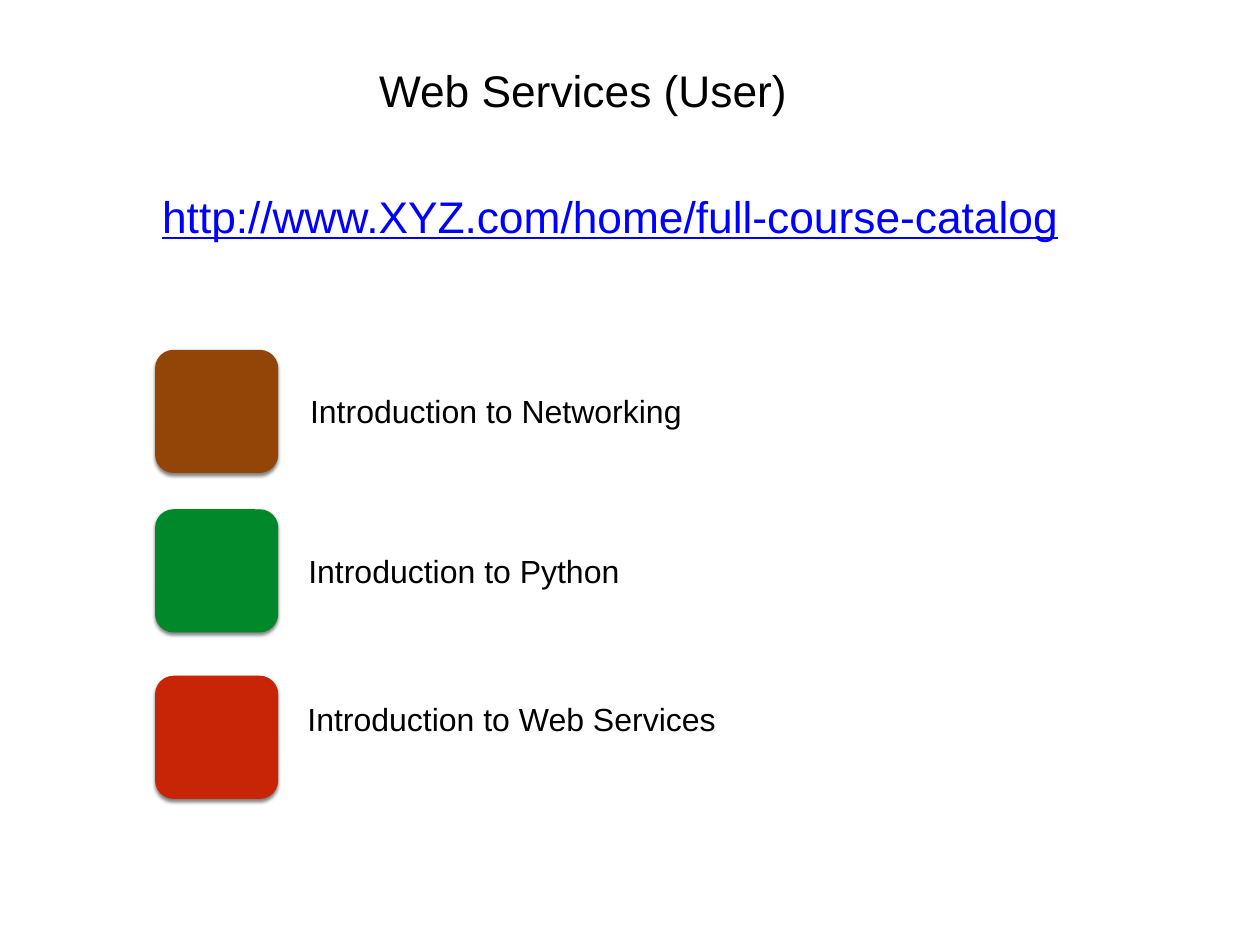
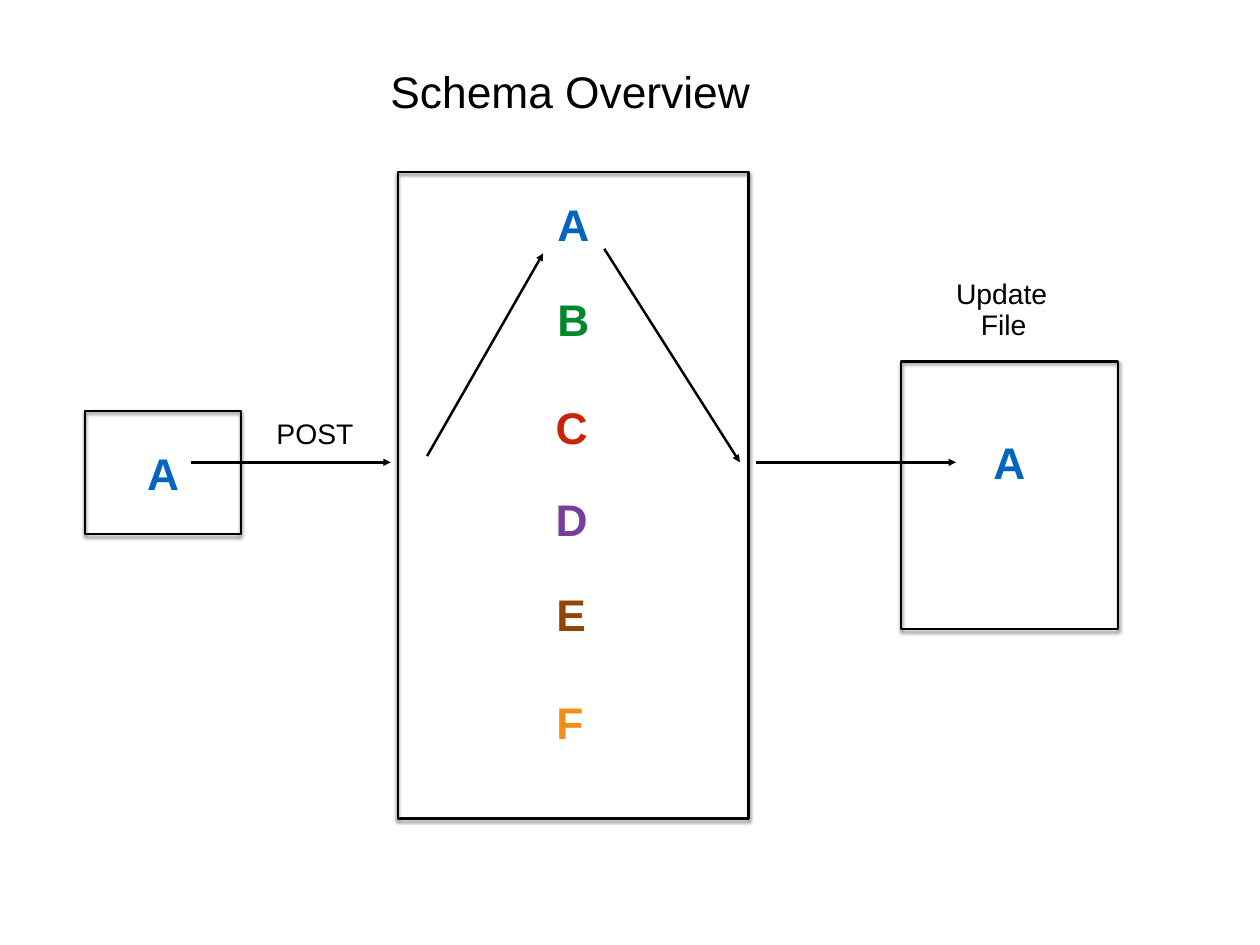
from pptx import Presentation
from pptx.dml.color import RGBColor
from pptx.enum.shapes import MSO_CONNECTOR, MSO_SHAPE
from pptx.enum.text import MSO_ANCHOR, PP_ALIGN
from pptx.oxml.ns import qn
from pptx.util import Pt
from lxml import etree

PX = 9144  # 100 px to the inch
FONT = "Arial"
BLACK = RGBColor(0x00, 0x00, 0x00)
LINK = RGBColor(0x00, 0x00, 0xFF)
BLUE = RGBColor(0x03, 0x65, 0xC0)
GREEN = RGBColor(0x00, 0x88, 0x2B)
RED = RGBColor(0xC8, 0x25, 0x06)
PURPLE = RGBColor(0x77, 0x3F, 0x9B)
BROWN = RGBColor(0x92, 0x45, 0x07)
ORANGE = RGBColor(0xF3, 0x8F, 0x18)

LEFT, CENTER = PP_ALIGN.LEFT, PP_ALIGN.CENTER
MIDDLE = MSO_ANCHOR.MIDDLE
RECT, ROUND = MSO_SHAPE.RECTANGLE, MSO_SHAPE.ROUNDED_RECTANGLE
STRAIGHT = MSO_CONNECTOR.STRAIGHT

BIG, LABEL, SMALL = 36, 26, 23
INSET = 6
LINE = 2


def emu(*sizes):
    return [size * PX for size in sizes]


# Shared parts

def add_text(slide, box, words, size, color=BLACK, align=LEFT):
    shape = slide.shapes.add_textbox(*emu(*box))
    frame = shape.text_frame
    frame.word_wrap = True
    frame.vertical_anchor = MIDDLE
    frame.margin_left = frame.margin_right = INSET * PX
    frame.margin_top = frame.margin_bottom = INSET * PX
    frame.text = words
    frame.paragraphs[0].alignment = align
    font = frame.paragraphs[0].runs[0].font
    font.name, font.size = FONT, Pt(size)
    font.color.rgb = color
    return font


def add_title(slide, box, words):
    add_text(slide, box, words, BIG, align=CENTER)


def add_letter(slide, x, y, letter, color):
    font = add_text(slide, (x, y, 49, 71), letter, BIG, color)
    font.bold = True


def add_shadow(shape):
    shape.shadow.inherit = False
    effects = shape._element.spPr.find(qn("a:effectLst"))
    outer = etree.SubElement(effects, qn("a:outerShdw"), blurRad=str(Pt(3)),
                             dist=str(Pt(2)), dir="5400000", rotWithShape="0")
    tint = etree.SubElement(outer, qn("a:srgbClr"), val=str(BLACK))
    etree.SubElement(tint, qn("a:alpha"), val="50000")


def add_frame(slide, box):
    shape = slide.shapes.add_shape(RECT, *emu(*box))
    shape.fill.background()
    shape.line.color.rgb = BLACK
    shape.line.width = Pt(LINE)
    add_shadow(shape)


def add_arrow(slide, x1, y1, x2, y2):
    arrow = slide.shapes.add_connector(STRAIGHT, *emu(x1, y1, x2, y2))
    arrow.line.color.rgb = BLACK
    arrow.line.width = Pt(LINE)
    ln = arrow.line._get_or_add_ln()
    etree.SubElement(ln, qn("a:tailEnd"), type="triangle")
    etree.SubElement(arrow._element.spPr, qn("a:effectLst"))


# Course list

def add_course(slide, box, color, words, dx, dy):
    x, y, side, _ = box
    tile = slide.shapes.add_shape(ROUND, *emu(*box))
    tile.adjustments[0] = 0.15
    tile.fill.solid()
    tile.fill.fore_color.rgb = color
    tile.line.fill.background()
    add_shadow(tile)
    add_text(slide, (x + side + dx, y + dy, 500, 54), words, LABEL)


def build_courses(slide):
    add_title(slide, (253, 65, 810, 72), "Web Services (User)")
    url = "http://www.XYZ.com/home/full-course-catalog"
    add_text(slide, (177, 208, 1050, 71), url, BIG, LINK).underline = True
    courses = [
        (395, BROWN, "Introduction to Networking", 30, 42),
        (575, GREEN, "Introduction to Python", 28, 42),
        (763, RED, "Introduction to Web Services", 27, 22),
    ]
    for y, *course in courses:
        add_course(slide, (175, y, 139, 139), *course)


# Schema diagram

def add_sender(slide, box):
    x, y, _, _ = box
    add_frame(slide, box)
    add_letter(slide, x + 64, y + 34, "A", BLUE)
    add_text(slide, (x + 210, y - 10, 108, 71), "POST", SMALL)
    add_arrow(slide, x + 119, y + 58, x + 345, y + 58)


def add_schema(slide, box):
    x, y, w, _ = box
    add_frame(slide, box)
    letters = [
        (174, 23, "A", BLUE), (174, 130, "B", GREEN), (172, 252, "C", RED),
        (172, 356, "D", PURPLE), (173, 463, "E", BROWN),
        (173, 585, "F", ORANGE),
    ]
    for dx, dy, letter, color in letters:
        add_letter(slide, x + dx, y + dy, letter, color)
    add_arrow(slide, x + 33, y + 321, x + 164, y + 92)
    add_arrow(slide, x + 233, y + 87, x + 386, y + 328)
    add_arrow(slide, x + w + 8, y + 328, x + w + 234, y + 328)


def add_file(slide, box):
    x, y, _, _ = box
    add_frame(slide, box)
    add_text(slide, (x + 56, y - 112, 133, 71), "Update", SMALL)
    add_text(slide, (x + 84, y - 77, 90, 71), "File", SMALL)
    add_letter(slide, x + 98, y + 78, "A", BLUE)


def build_schema(slide):
    add_title(slide, (433, 67, 421, 72), "Schema Overview")
    add_sender(slide, (96, 464, 176, 139))
    add_schema(slide, (449, 194, 396, 730))
    add_file(slide, (1017, 408, 245, 302))


def main():
    deck = Presentation()
    deck.slide_width, deck.slide_height = emu(1422, 1067)
    blank = deck.slide_layouts[6]
    for build in (build_courses, build_schema):
        build(deck.slides.add_slide(blank))
    deck.save("out.pptx")


if __name__ == "__main__":
    main()
